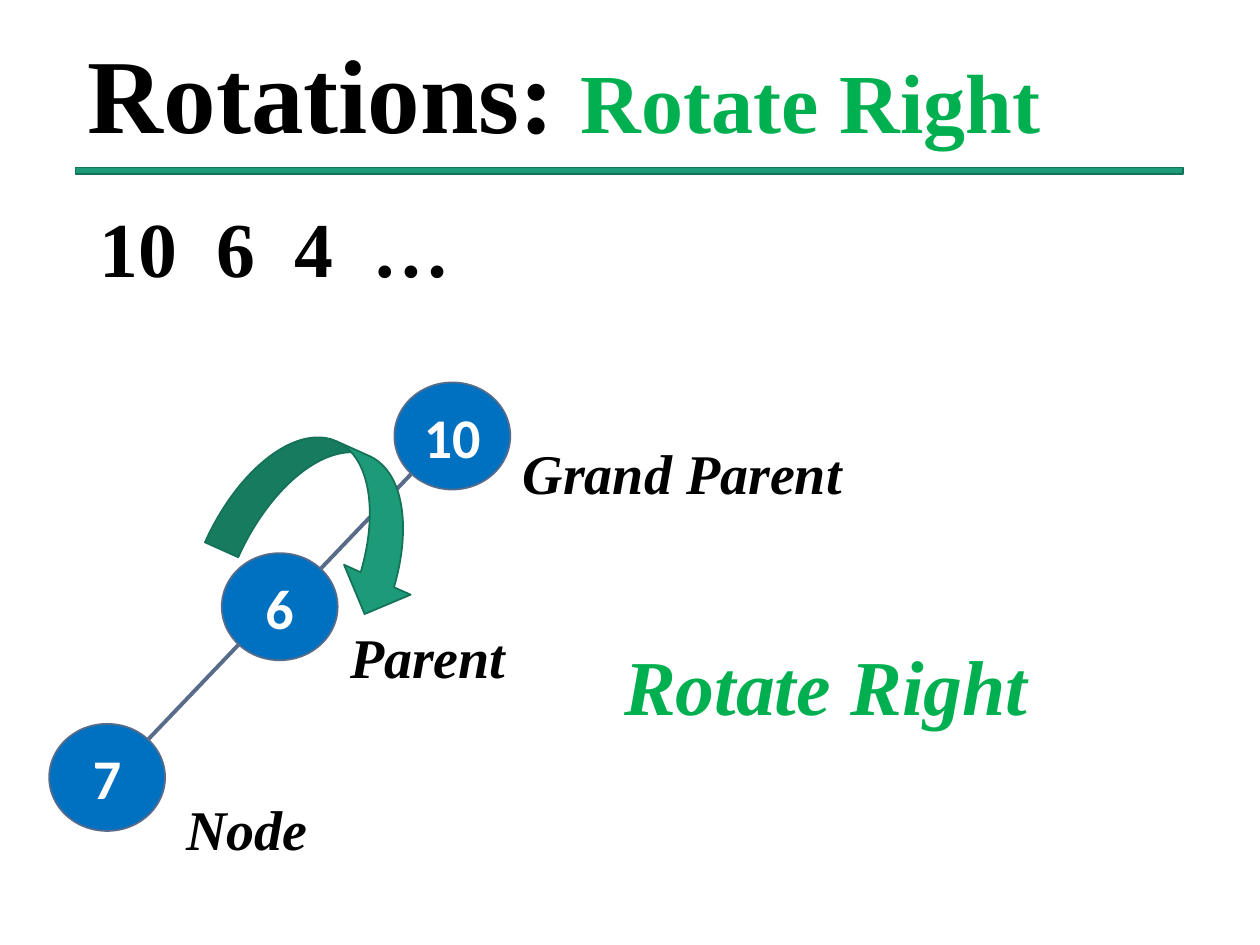
from lxml.etree import SubElement
from pptx import Presentation
from pptx.dml.color import RGBColor
from pptx.enum.shapes import MSO_CONNECTOR as CONN, MSO_SHAPE as SHAPE
from pptx.enum.text import MSO_ANCHOR as ANCHOR, PP_ALIGN as ALIGN
from pptx.oxml.ns import qn
from pptx.util import Emu, Inches, Pt
from math import sqrt

COLORS = {"ink": "000000", "white": "FFFFFF", "accent": "00B050",
          "node": "0070C0", "edge": "586C89",
          "green": "1D9A78", "green_edge": "157259"}
SERIF, SANS = "Times New Roman", "Calibri"
UNIT = Inches(0.1)  # grid of 100 columns by 75 rows


def grid(*values):
    return [Emu(round(v * UNIT)) for v in values]


def color(name):
    return RGBColor.from_string(COLORS[name])


class RotationSlide:
    def __init__(self, prs):
        self.s = prs.slides.add_slide(prs.slide_layouts[6])

    def style(self, r, size, ink="ink", font=SERIF, italic=False):
        r.font.name, r.font.size = font, Pt(size)
        r.font.bold, r.font.italic = True, italic
        r.font.color.rgb = color(ink)

    def text(self, box, parts, spacing=0.9, anchor=ANCHOR.TOP,
             align=ALIGN.LEFT, italic=False, tabs=()):
        """Add one line of text; parts are (wording, size, colour)."""
        tf = self.s.shapes.add_textbox(*grid(*box)).text_frame
        tf.word_wrap, tf.vertical_anchor = True, anchor
        p = tf.paragraphs[0]
        p.line_spacing, p.alignment = spacing, align
        if tabs:
            tab_list = SubElement(p._p.get_or_add_pPr(), qn("a:tabLst"))
            for pos in tabs:
                SubElement(tab_list, qn("a:tab"), pos=str(Inches(pos)), algn="l")
        for wording, size, ink in parts:
            r = p.add_run()
            r.text = wording
            self.style(r, size, ink, italic=italic)

    def shape(self, kind, box, fill, line, rotation=0):
        sp = self.s.shapes.add_shape(kind, *grid(*box))
        sp.shadow.inherit = False
        sp.fill.solid()
        sp.fill.fore_color.rgb = color(fill)
        sp.line.color.rgb, sp.line.width = color(line), Pt(1)
        sp.rotation = rotation
        return sp

    def node(self, x, y, w, h, key):
        sp = self.shape(SHAPE.OVAL, (x - w / 2, y - h / 2, w, h), "node", "edge")
        tf = sp.text_frame
        tf.margin_left = tf.margin_right = tf.margin_top = tf.margin_bottom = 0
        tf.vertical_anchor = ANCHOR.MIDDLE
        tf.text = key
        p = tf.paragraphs[0]
        p.alignment = ALIGN.CENTER
        self.style(p.runs[0], 32, "white", SANS)

    def link(self, x1, y1, x2, y2):
        line = self.s.shapes.add_connector(CONN.STRAIGHT, *grid(x1, y1, x2, y2))
        line.line.color.rgb, line.line.width = color("edge"), Pt(2.25)
        SubElement(line._element.spPr, qn("a:effectLst"))


def main():
    prs = Presentation()
    prs.slide_width, prs.slide_height = grid(100, 75)
    slide = RotationSlide(prs)

    # Title, rule and inserted keys
    slide.text((6, 2.6, 88.3, 10.6),
               [("Rotations: ", 60, "ink"), ("Rotate Right", 48, "accent")],
               anchor=ANCHOR.MIDDLE)
    slide.shape(SHAPE.RECTANGLE, (6, 13.3, 87.9, 0.5), "green", "green_edge")
    slide.text((6.9, 16.8, 35.1, 7.1), [("10\t6\t4\t…", 44.4, "ink")],
               spacing=0.8, tabs=[0.93 + 0.62 * i for i in range(3)])

    # Tree: each child sits one step down and to the left
    keys = ["10", "6", "7"]
    w, h = 9.2, 8.5
    centers = [(35.9 - 13.7 * i, 34.6 + 13.55 * i) for i in range(len(keys))]
    dx, dy = w / 2 / sqrt(2), h / 2 / sqrt(2)
    for (x1, y1), (x2, y2) in zip(centers, centers[1:]):
        slide.link(x1 - dx, y1 + dy, x2 + dx, y2 - dy)
    for (x, y), key in zip(centers, keys):
        slide.node(x, y, w, h, key)

    # Roles of the nodes
    for wording, x, y, width in [("Grand Parent", 40.5, 34.9, 29.5),
                                 ("Parent", 26.8, 49.5, 16.6),
                                 ("Node", 13.8, 63.2, 14.4)]:
        slide.text((x, y, width, 7.1), [(wording, 32, "ink")], italic=True)

    # Rotation arrow and its caption
    slide.shape(SHAPE.CURVED_DOWN_ARROW, (17.9, 35.4, 16.8, 11.6),
                "green", "green_edge", rotation=24.2)
    slide.text((47.4, 49.5, 36.3, 10.6), [("Rotate Right", 44.4, "accent")],
               anchor=ANCHOR.MIDDLE, align=ALIGN.CENTER, italic=True)

    prs.save("out.pptx")


if __name__ == "__main__":
    main()
